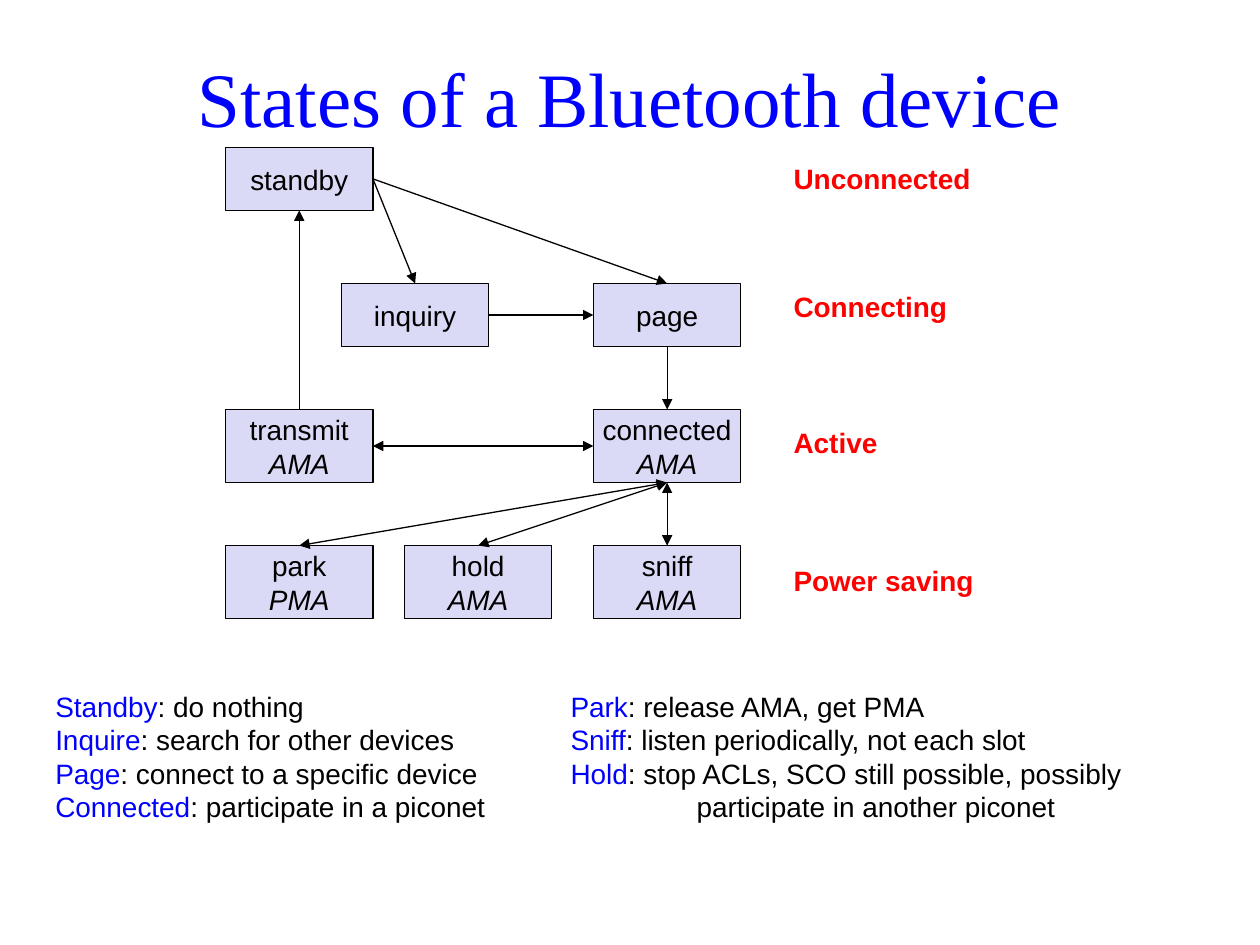
from lxml import etree
from pptx import Presentation
from pptx.dml.color import RGBColor
from pptx.enum.shapes import MSO_CONNECTOR as Connector, MSO_SHAPE as Shape
from pptx.enum.text import MSO_ANCHOR as Anchor, MSO_AUTO_SIZE as AutoSize, PP_ALIGN as Align
from pptx.oxml.ns import qn
from pptx.util import Inches, Pt

BLACK = RGBColor(0x00, 0x00, 0x00)
BLUE = RGBColor(0x00, 0x00, 0xFF)
RED = RGBColor(0xFF, 0x00, 0x00)
LAVENDER = RGBColor(0xDA, 0xDA, 0xF6)

STATE_WIDTH = 1.17
LEFT_COLUMN, RIGHT_COLUMN = 1.79, 4.71
TOP, LEFT, BOTTOM, RIGHT = range(4)  # connection sites of a rectangle

# name: (left, top, height, address type)
STATES = {
    "standby": (LEFT_COLUMN, 1.17, 0.5, None),
    "inquiry": (2.71, 2.25, 0.5, None),
    "page": (RIGHT_COLUMN, 2.25, 0.5, None),
    "connected": (RIGHT_COLUMN, 3.25, 0.58, "AMA"),
    "transmit": (LEFT_COLUMN, 3.25, 0.58, "AMA"),
    "park": (LEFT_COLUMN, 4.33, 0.58, "PMA"),
    "hold": (3.21, 4.33, 0.58, "AMA"),
    "sniff": (RIGHT_COLUMN, 4.33, 0.58, "AMA"),
}

# (from state, site, to state, site, arrowheads at both ends)
TRANSITIONS = [
    ("standby", RIGHT, "page", TOP, False),
    ("standby", RIGHT, "inquiry", TOP, False),
    ("inquiry", RIGHT, "page", LEFT, False),
    ("page", BOTTOM, "connected", TOP, False),
    ("transmit", TOP, "standby", BOTTOM, False),
    ("park", TOP, "connected", BOTTOM, True),
    ("hold", TOP, "connected", BOTTOM, True),
    ("sniff", TOP, "connected", BOTTOM, True),
    ("transmit", RIGHT, "connected", LEFT, True),
]

# (text, top, width)
PHASES = [
    ("Unconnected", 1.23, 1.65),
    ("Connecting", 2.25, 1.47),
    ("Active", 3.33, 0.91),
    ("Power saving", 4.42, 1.68),
]

# (left, width, [(term, meaning lines)])
LEGENDS = [
    (0.34, 3.61, [
        ("Standby", [": do nothing"]),
        ("Inquire", [": search for other devices"]),
        ("Page", [": connect to a specific device"]),
        ("Connected", [": participate in a piconet"]),
    ]),
    (4.43, 4.64, [
        ("Park", [": release AMA, get PMA"]),
        ("Sniff", [": listen periodically, not each slot"]),
        ("Hold", [": stop ACLs, SCO still possible, possibly ",
                  "\tparticipate in another piconet"]),
    ]),
]


def set_font(paragraph, color, size=16, name="Arial"):
    paragraph.font.name = name
    paragraph.font.size = Pt(size)
    paragraph.font.color.rgb = color


def add_text_box(slide, left, top, width, height, wrap=True):
    box = slide.shapes.add_textbox(Inches(left), Inches(top), Inches(width), Inches(height))
    box.text_frame.word_wrap = wrap
    return box.text_frame


def add_title(slide, text):
    frame = add_text_box(slide, 0.5, 0.3, 9, 0.93)
    frame.vertical_anchor = Anchor.MIDDLE
    paragraph = frame.paragraphs[0]
    paragraph.text = text
    paragraph.alignment = Align.CENTER
    set_font(paragraph, BLUE, 44, "Times New Roman")


def add_state(slide, name, left, top, height, address):
    shape = slide.shapes.add_shape(
        Shape.RECTANGLE, Inches(left), Inches(top), Inches(STATE_WIDTH), Inches(height))
    shape.shadow.inherit = False
    shape.fill.solid()
    shape.fill.fore_color.rgb = LAVENDER
    shape.line.color.rgb = BLACK
    shape.line.width = Pt(0.75)
    frame = shape.text_frame
    frame.word_wrap = False
    frame.vertical_anchor = Anchor.MIDDLE
    frame.text = f"{name}\n{address}" if address else name
    for index, paragraph in enumerate(frame.paragraphs):
        paragraph.alignment = Align.CENTER
        set_font(paragraph, BLACK)
        if index == 1:
            paragraph.font.italic = True
    return shape


def add_transition(slide, start, start_site, end, end_site, both_ways):
    connector = slide.shapes.add_connector(Connector.STRAIGHT, 0, 0, 0, 0)
    connector.begin_connect(start, start_site)
    connector.end_connect(end, end_site)
    connector.line.color.rgb = BLACK
    connector.line.width = Pt(0.75)
    line = connector.line._get_or_add_ln()
    for end_tag in ("a:headEnd", "a:tailEnd") if both_ways else ("a:tailEnd",):
        etree.SubElement(line, qn(end_tag), type="triangle")
    etree.SubElement(connector._element.spPr, qn("a:effectLst"))


def add_phase(slide, text, top, width):
    frame = add_text_box(slide, 6.2, top, width, 0.37)
    paragraph = frame.paragraphs[0]
    paragraph.text = text
    set_font(paragraph, RED)
    paragraph.font.bold = True


def add_tab_stop(paragraph, position):
    tabs = etree.SubElement(paragraph._p.get_or_add_pPr(), qn("a:tabLst"))
    etree.SubElement(tabs, qn("a:tab"), pos=str(Inches(position)), algn="l")


def add_legend(slide, left, width, entries):
    frame = add_text_box(slide, left, 5.42, width, 1.17, wrap=False)
    frame.auto_size = AutoSize.SHAPE_TO_FIT_TEXT
    for index, (term, meaning) in enumerate(entries):
        paragraph = frame.add_paragraph() if index else frame.paragraphs[0]
        add_tab_stop(paragraph, 1)
        set_font(paragraph, BLACK)
        run = paragraph.add_run()
        run.text = term
        run.font.color.rgb = BLUE
        for line_index, line in enumerate(meaning):
            if line_index:
                paragraph.add_line_break()
            paragraph.add_run().text = line


def main():
    presentation = Presentation()
    presentation.slide_width, presentation.slide_height = Inches(10), Inches(7.5)
    slide = presentation.slides.add_slide(presentation.slide_layouts[6])

    add_title(slide, "States of a Bluetooth device")

    # State diagram
    states = {name: add_state(slide, name, *place) for name, place in STATES.items()}
    for start, start_site, end, end_site, both_ways in TRANSITIONS:
        add_transition(slide, states[start], start_site, states[end], end_site, both_ways)

    # Phase names beside the diagram
    for phase in PHASES:
        add_phase(slide, *phase)

    # Explanations below the diagram
    for legend in LEGENDS:
        add_legend(slide, *legend)

    presentation.save("out.pptx")


if __name__ == "__main__":
    main()
